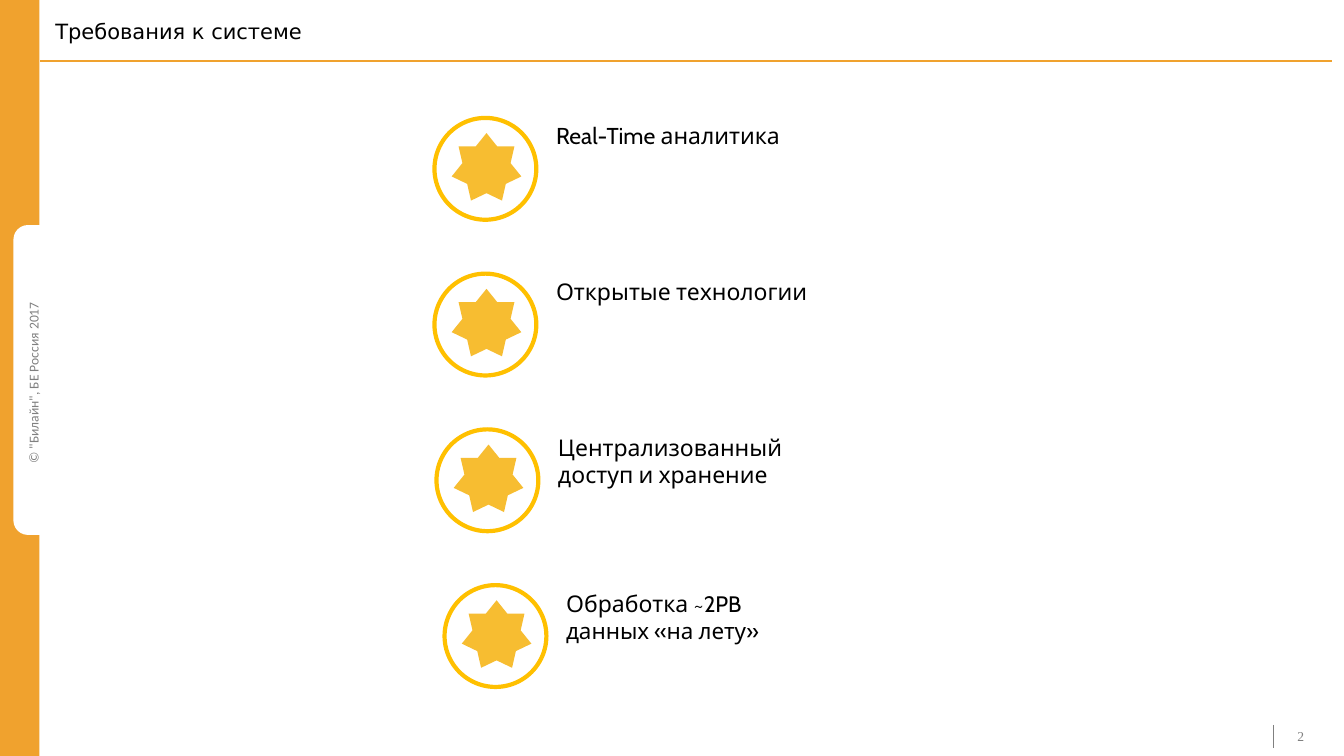
from dataclasses import dataclass

import lxml.etree
import pptx
import pptx.dml.color
import pptx.enum.shapes
import pptx.enum.text
import pptx.oxml.ns
import pptx.shapes.autoshape
import pptx.slide
import pptx.util

WIDTH = pptx.util.Inches(13.33)
HEIGHT = pptx.util.Inches(7.5)
COLOURS = {
    "band": "F0A22E",
    "ring": "FFC000",
    "star": "F7BD31",
    "paper": "FFFFFF",
    "ink": "000000",
    "muted": "808080",
}
SHAPES = pptx.enum.shapes.MSO_SHAPE
ANCHOR = pptx.enum.text.MSO_ANCHOR


@dataclass(frozen=True)
class Area:
    """A rectangle in percent of the slide's width and height."""
    left: float
    top: float
    width: float
    height: float

    def lengths(self) -> tuple[int, int, int, int]:
        return (across(self.left), down(self.top),
                across(self.width), down(self.height))


@dataclass(frozen=True)
class Style:
    font: str
    size: float
    colour: str


@dataclass(frozen=True)
class Requirement:
    phrases: tuple[tuple[str, float], ...]  # wording and its size in points
    lines: int
    shift: float = 0  # percent of the slide's width


REQUIREMENTS = (
    Requirement((("Real-Time аналитика", 16.4),), 1),
    Requirement((("Открытые технологии", 16.4),), 1),
    Requirement((("Централизованный доступ и хранение", 16.4),), 2, 0.15),
    Requirement((("Обработка ", 16.4), ("~2PB данных «на лету»", 16)), 3, 0.75),
)
FIRST_LEFT, FIRST_TOP, ROW_STEP = 32.33, 15.6, 20.6


def across(percent: float) -> int:
    return round(WIDTH * percent / 100)


def down(percent: float) -> int:
    return round(HEIGHT * percent / 100)


def colour(name: str) -> pptx.dml.color.RGBColor:
    return pptx.dml.color.RGBColor.from_string(COLOURS[name])


def add_figure(slide: pptx.slide.Slide, kind: SHAPES, area: Area, fill: str,
               outline: str = "", weight: float = 0) -> pptx.shapes.autoshape.Shape:
    figure = slide.shapes.add_shape(kind, *area.lengths())
    figure.shadow.inherit = False
    figure.fill.solid()
    figure.fill.fore_color.rgb = colour(fill)
    if outline:
        figure.line.color.rgb = colour(outline)
        figure.line.width = pptx.util.Pt(weight)
    else:
        figure.line.fill.background()
    return figure


def add_rule(slide: pptx.slide.Slide, start: tuple[float, float],
             end: tuple[float, float], line: str, weight: float) -> None:
    rule = slide.shapes.add_connector(
        pptx.enum.shapes.MSO_CONNECTOR.STRAIGHT,
        across(start[0]), down(start[1]), across(end[0]), down(end[1]))
    rule.line.color.rgb = colour(line)
    rule.line.width = pptx.util.Pt(weight)
    properties = rule.element.find(pptx.oxml.ns.qn("p:spPr"))
    lxml.etree.SubElement(properties, pptx.oxml.ns.qn("a:effectLst"))


def add_text(slide: pptx.slide.Slide, area: Area,
             phrases: tuple[tuple[str, float], ...], style: Style,
             anchor: ANCHOR = ANCHOR.TOP) -> pptx.shapes.autoshape.Shape:
    box = slide.shapes.add_textbox(*area.lengths())
    box.text_frame.word_wrap = True
    box.text_frame.vertical_anchor = anchor
    paragraph = box.text_frame.paragraphs[0]
    paragraph.font.name = style.font
    paragraph.font.size = pptx.util.Pt(style.size)
    paragraph.font.color.rgb = colour(style.colour)
    for wording, size in phrases:
        run = paragraph.add_run()
        run.text = wording
        if size != style.size:
            run.font.size = pptx.util.Pt(size)
    return box


def add_frame(slide: pptx.slide.Slide) -> None:
    # Side band with the copyright panel
    add_figure(slide, SHAPES.RECTANGLE, Area(0, 0, 2.93, 100), "band")
    panel = add_figure(slide, SHAPES.ROUNDED_RECTANGLE,
                       Area(1.05, 29.87, 3.53, 40.8), "paper", "paper", 1)
    panel.adjustments[0] = 0.29
    copyright_line = add_text(
        slide, Area(-9.9, 48.93, 24.76, 3.47),
        (("© \"Билайн\", БЕ Россия 2017", 9.7),), Style("Calibri", 9.7, "muted"))
    copyright_line.rotation = 270
    copyright_line.text_frame.paragraphs[0].alignment = pptx.enum.text.PP_ALIGN.CENTER

    # Heading
    add_rule(slide, (3, 8.13), (99.1, 8.13), "band", 1.5)
    heading = add_text(slide, Area(3.38, 2, 82.45, 4.67),
                       (("Требования к системе", 15),),
                       Style("DejaVu Sans", 15, "ink"), ANCHOR.MIDDLE)
    heading.text_frame.paragraphs[0].line_spacing = 0.9

    # Page number
    add_rule(slide, (94.75, 95.87), (94.75, 98.93), "muted", 0.5)
    add_text(slide, Area(95.8, 96.27, 4.2, 2.13), (("2", 9.7),),
             Style("Times New Roman", 9.7, "muted"), ANCHOR.MIDDLE)


def add_requirement(slide: pptx.slide.Slide, row: int, requirement: Requirement) -> None:
    left = FIRST_LEFT + requirement.shift
    top = FIRST_TOP + row * ROW_STEP
    add_text(slide, Area(left + 8.3, top - 0.13, 20.86, 1.47 + 3.6 * requirement.lines),
             requirement.phrases, Style("Cabin", 16.4, "ink"))
    add_figure(slide, SHAPES.OVAL, Area(left, top, 7.58, 13.47), "paper", "ring", 3)
    add_figure(slide, SHAPES.STAR_7_POINT,
               Area(left + 1.28, top + 2, 5.18, 8.93), "star")


def main() -> None:
    presentation = pptx.Presentation()
    presentation.slide_width = WIDTH
    presentation.slide_height = HEIGHT
    slide = presentation.slides.add_slide(presentation.slide_layouts[6])
    add_frame(slide)
    for row, requirement in enumerate(REQUIREMENTS):
        add_requirement(slide, row, requirement)
    presentation.save("out.pptx")


if __name__ == "__main__":
    main()
